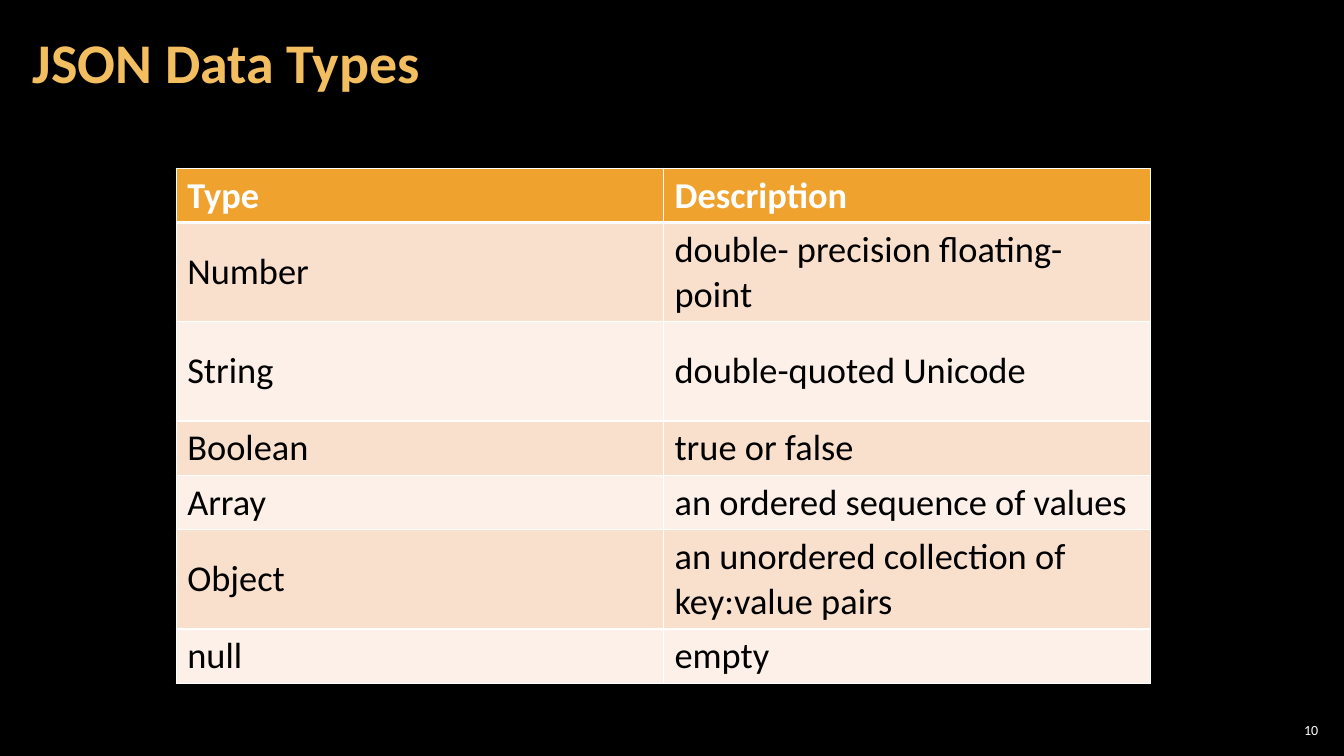
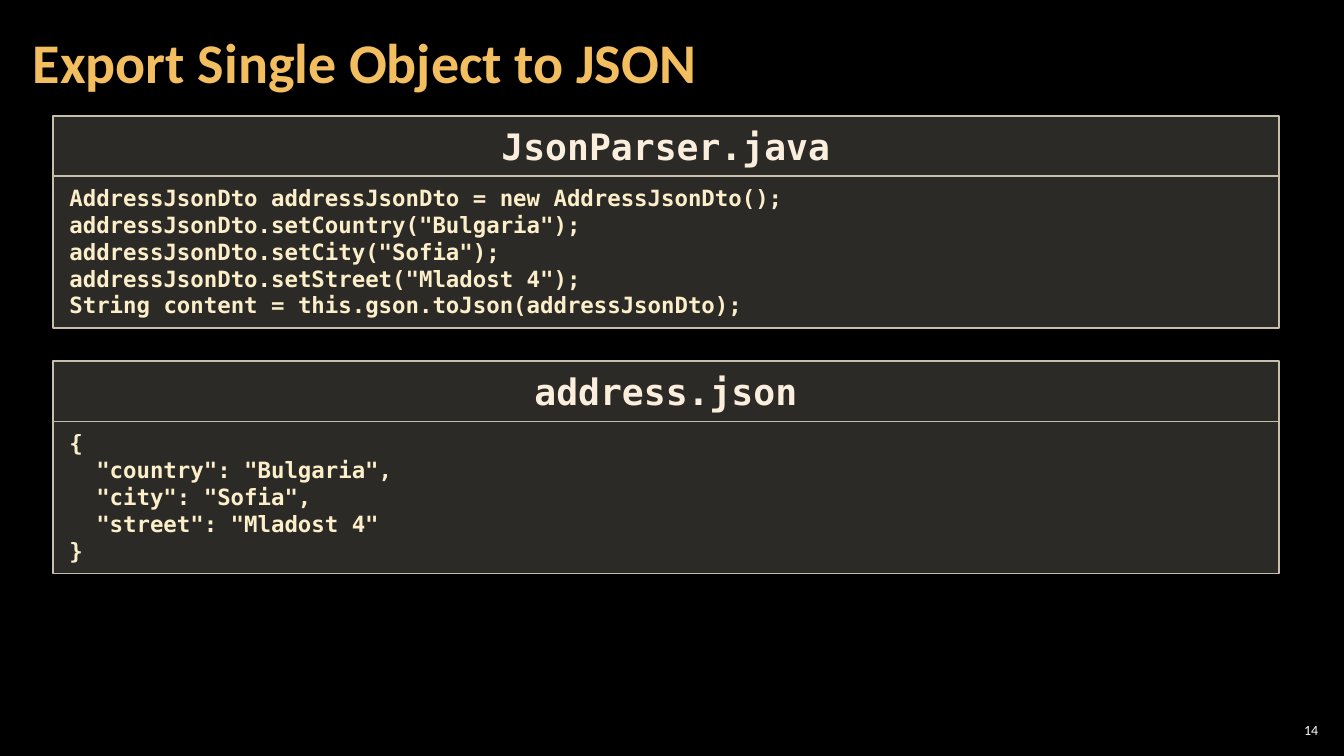
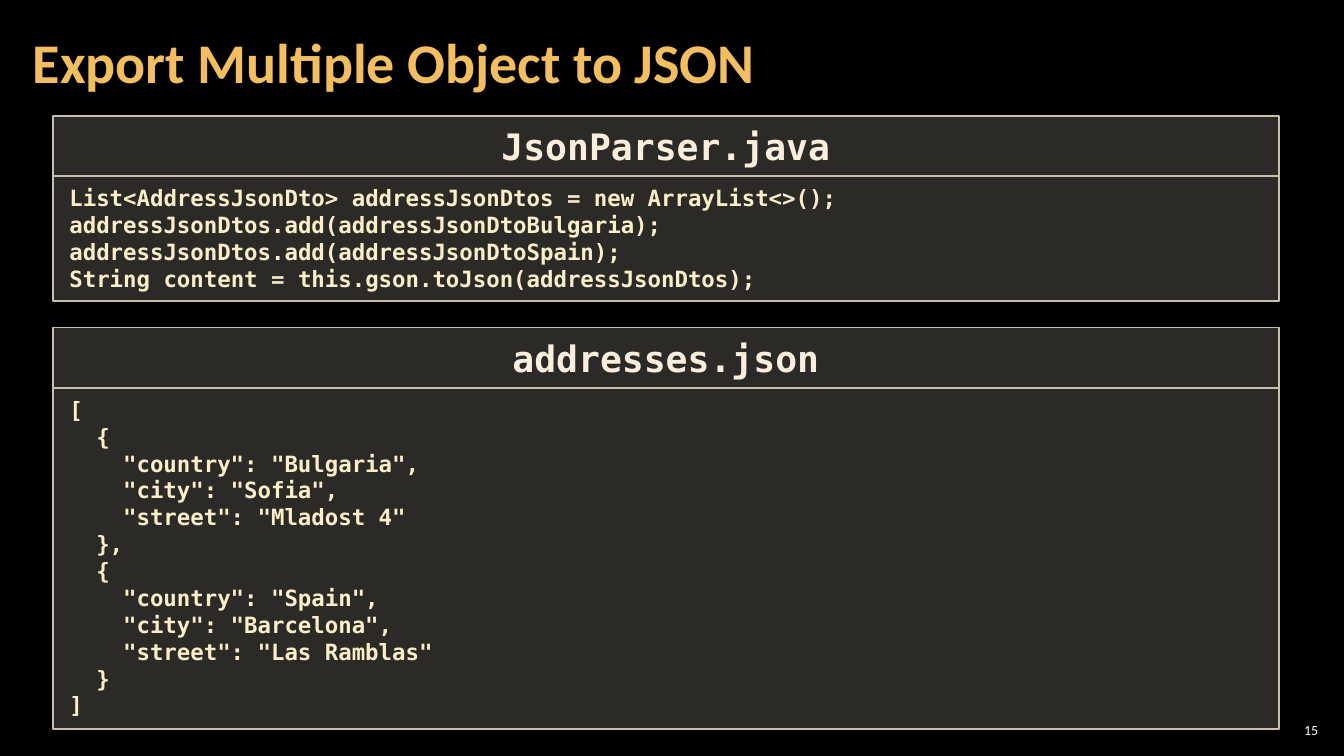
import dataclasses
import typing

import lxml.etree
import pptx
import pptx.dml.color
import pptx.enum.shapes
import pptx.enum.text
import pptx.oxml.ns
import pptx.presentation
import pptx.slide
import pptx.table
import pptx.text.text
import pptx.util

Cm = pptx.util.Cm
Pt = pptx.util.Pt
Align = pptx.enum.text.PP_ALIGN
qn = pptx.oxml.ns.qn

BLACK = "000000"
WHITE = "FFFFFF"
TITLE_GOLD = "F3BE60"
TABLE_HEADER = "F0A22E"
TABLE_BANDS = ("F9E0CD", "FCF0E8")
PANEL_FILL = "D9D5C7"
PANEL_LINE = "C7BFAC"
CODE_TEXT = "FBEEC9"
FILE_NAME_TEXT = "FBEEDC"

BODY_FONT = "Calibri"
CODE_FONT = "DejaVu Sans Mono"
CODE_SIZE = 16
MONO_WIDTH = 0.6  # character width as a share of the font size

PANEL_LEFT, PANEL_WIDTH = 1.34, 30.89
PANEL_HEADER_HEIGHT = 1.52
CODE_LINE_HEIGHT, CODE_PADDING = 0.68, 0.43

ROW_HEIGHT, TALL_ROW_HEIGHT = 1.37, 2.5


class Box(typing.NamedTuple):
    """Left, top, width and height in centimetres."""
    left: float
    top: float
    width: float
    height: float

    def lengths(self) -> list[pptx.util.Length]:
        return [Cm(value) for value in self]


@dataclasses.dataclass(frozen=True)
class CodePanel:
    file_name: str
    top: float
    lines: list[str]


@dataclasses.dataclass(frozen=True)
class TypeRow:
    name: str
    description: str
    height: float = ROW_HEIGHT


TITLE_BOX = Box(0.53, 0.1, 26.59, 3.07)
NUMBER_BOX = Box(32.13, 18.14, 1.19, 0.53)

TYPE_ROWS = [
    TypeRow("Type", "Description"),
    TypeRow("Number", "double- precision floating-point", TALL_ROW_HEIGHT),
    TypeRow("String", "double-quoted Unicode", TALL_ROW_HEIGHT),
    TypeRow("Boolean", "true or false"),
    TypeRow("Array", "an ordered sequence of values"),
    TypeRow("Object", "an unordered collection of key:value pairs", TALL_ROW_HEIGHT),
    TypeRow("null", "empty"),
]


def rgb(value: str) -> pptx.dml.color.RGBColor:
    return pptx.dml.color.RGBColor.from_string(value)


def write(para: pptx.text.text._Paragraph, text: str, *, size: float, color: str,
          font: str = BODY_FONT, bold: bool = False, align: Align = Align.LEFT) -> None:
    para.alignment = align
    span = para.add_run()
    span.text = text
    span.font.name = font
    span.font.size = Pt(size)
    span.font.bold = bold
    span.font.color.rgb = rgb(color)


def set_up_frame(frame: pptx.text.text.TextFrame, side: float, edge: float,
                 anchor: pptx.enum.text.MSO_ANCHOR) -> None:
    frame.word_wrap = True
    frame.margin_left = frame.margin_right = Cm(side)
    frame.margin_top = frame.margin_bottom = Cm(edge)
    frame.vertical_anchor = anchor


def add_page(deck: pptx.presentation.Presentation, title: str, number: int) -> pptx.slide.Slide:
    page = deck.slides.add_slide(deck.slide_layouts.get_by_name("Title Only"))
    heading = page.shapes.title
    heading.left, heading.top, heading.width, heading.height = TITLE_BOX.lengths()
    middle = pptx.enum.text.MSO_ANCHOR.MIDDLE
    set_up_frame(heading.text_frame, 0.3, 0.1, middle)
    para = heading.text_frame.paragraphs[0]
    para.line_spacing = 0.9
    write(para, title, size=40, color=TITLE_GOLD, bold=True)

    number_frame = page.shapes.add_textbox(*NUMBER_BOX.lengths()).text_frame
    set_up_frame(number_frame, 0.1, 0.1, middle)
    write(number_frame.paragraphs[0], str(number), size=10, color=WHITE, align=Align.RIGHT)
    return page


def set_borders(cell: pptx.table._Cell, widths: dict[str, float]) -> None:
    """Draw white borders; widths maps the sides L, R, T, B to points."""
    properties = cell._tc.get_or_add_tcPr()
    for side, width in widths.items():
        line = lxml.etree.SubElement(properties, qn(f"a:ln{side}"), w=str(Pt(width)))
        fill = lxml.etree.SubElement(line, qn("a:solidFill"))
        lxml.etree.SubElement(fill, qn("a:srgbClr"), val=WHITE)


def add_type_table(page: pptx.slide.Slide, rows: list[TypeRow]) -> None:
    box = Box(4.44, 4.24, 24.56, sum(row.height for row in rows))
    table = page.shapes.add_table(len(rows), 2, *box.lengths()).table
    for index, row in enumerate(rows):
        table.rows[index].height = Cm(row.height)
        is_header = index == 0
        widths = {"L": 1, "R": 1, "T": 3 if index == 1 else 1, "B": 3 if is_header else 1}
        for column, text in enumerate((row.name, row.description)):
            cell = table.cell(index, column)
            set_borders(cell, widths)
            cell.fill.solid()
            cell.fill.fore_color.rgb = rgb(TABLE_HEADER if is_header else TABLE_BANDS[(index - 1) % 2])
            cell.margin_left = cell.margin_right = Cm(0.28)
            cell.margin_top = cell.margin_bottom = Cm(0.13)
            cell.vertical_anchor = pptx.enum.text.MSO_ANCHOR.MIDDLE
            write(cell.text_frame.paragraphs[0], text, size=26,
                  color=WHITE if is_header else BLACK, bold=is_header)


def add_panel_box(page: pptx.slide.Slide, top: float, height: float) -> pptx.text.text.TextFrame:
    box = Box(PANEL_LEFT, top, PANEL_WIDTH, height)
    shape = page.shapes.add_shape(pptx.enum.shapes.MSO_SHAPE.RECTANGLE, *box.lengths())
    shape.shadow.inherit = False
    shape.fill.solid()
    shape.fill.fore_color.rgb = rgb(PANEL_FILL)
    color = shape._element.spPr.find(qn("a:solidFill"))[0]
    lxml.etree.SubElement(color, qn("a:alpha"), val="20000")
    shape.line.color.rgb = rgb(PANEL_LINE)
    shape.line.width = Pt(1)
    set_up_frame(shape.text_frame, 0.41, 0.2, pptx.enum.text.MSO_ANCHOR.TOP)
    return shape.text_frame


def add_code_panel(page: pptx.slide.Slide, panel: CodePanel) -> None:
    """Draw the code box with its file name above; leading spaces become indents."""
    code_top = panel.top + PANEL_HEADER_HEIGHT
    code_height = CODE_PADDING + CODE_LINE_HEIGHT * len(panel.lines)
    frame = add_panel_box(page, code_top, code_height)
    for index, line in enumerate(panel.lines):
        para = frame.add_paragraph() if index else frame.paragraphs[0]
        code = line.lstrip()
        indent = Pt((len(line) - len(code)) * MONO_WIDTH * CODE_SIZE)
        para._p.get_or_add_pPr().set("marL", str(indent))
        write(para, code, size=CODE_SIZE, color=CODE_TEXT, font=CODE_FONT, bold=True)

    header = add_panel_box(page, panel.top, PANEL_HEADER_HEIGHT)
    write(header.paragraphs[0], panel.file_name, size=26, color=FILE_NAME_TEXT,
          font=CODE_FONT, bold=True, align=Align.CENTER)


def address_json(country: str, city: str, street: str) -> list[str]:
    return ["{", f'  "country": "{country}",', f'  "city": "{city}",', f'  "street": "{street}"', "}"]


def indented(lines: list[str], ending: str = "") -> list[str]:
    return ["  " + line for line in lines[:-1]] + ["  " + lines[-1] + ending]


def main() -> None:
    deck = pptx.Presentation()
    deck.slide_width, deck.slide_height = Cm(33.87), Cm(19.05)
    background = deck.slide_master.background.fill
    background.solid()
    background.fore_color.rgb = rgb(BLACK)

    add_type_table(add_page(deck, "JSON Data Types", 10), TYPE_ROWS)

    sofia = address_json("Bulgaria", "Sofia", "Mladost 4")
    barcelona = address_json("Spain", "Barcelona", "Las Ramblas")

    single = add_page(deck, "Export Single Object to JSON", 14)
    add_code_panel(single, CodePanel("JsonParser.java", 2.92, [
        "AddressJsonDto addressJsonDto = new AddressJsonDto();",
        'addressJsonDto.setCountry("Bulgaria");',
        'addressJsonDto.setCity("Sofia");',
        'addressJsonDto.setStreet("Mladost 4");',
        "String content = this.gson.toJson(addressJsonDto);",
    ]))
    add_code_panel(single, CodePanel("address.json", 9.1, sofia))

    multiple = add_page(deck, "Export Multiple Object to JSON", 15)
    add_code_panel(multiple, CodePanel("JsonParser.java", 2.92, [
        "List<AddressJsonDto> addressJsonDtos = new ArrayList<>();",
        "addressJsonDtos.add(addressJsonDtoBulgaria);",
        "addressJsonDtos.add(addressJsonDtoSpain);",
        "String content = this.gson.toJson(addressJsonDtos);",
    ]))
    add_code_panel(multiple, CodePanel("addresses.json", 8.26, [
        "[", *indented(sofia, ","), *indented(barcelona), "]",
    ]))

    deck.save("out.pptx")


if __name__ == "__main__":
    main()
